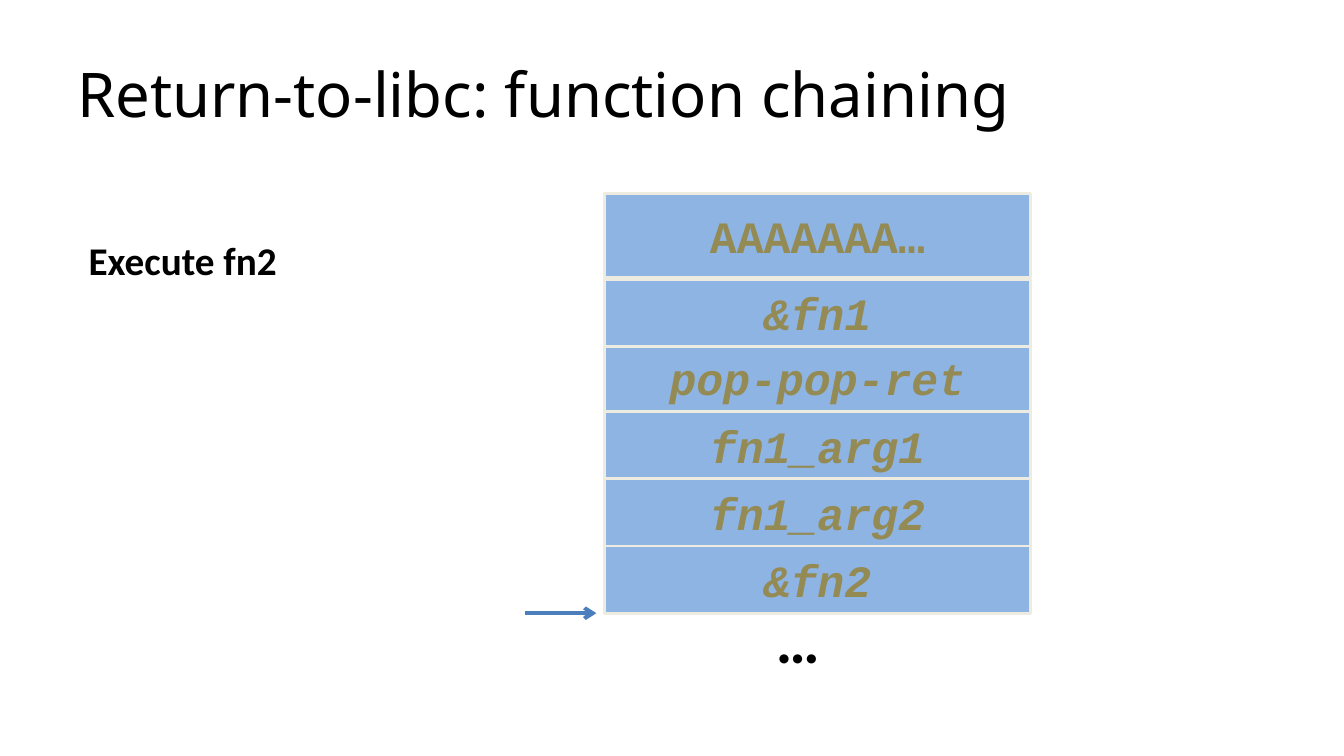
from dataclasses import dataclass

from lxml import etree
from pptx import Presentation
from pptx.dml.color import RGBColor
from pptx.enum.shapes import MSO_CONNECTOR as Connector, MSO_SHAPE as Shape
from pptx.enum.text import MSO_ANCHOR as Anchor, MSO_AUTO_SIZE as AutoSize, PP_ALIGN as Align
from pptx.oxml.ns import qn
from pptx.util import Pt

TITLE = "Return-to-libc: function chaining"
STEP = "Execute fn2"
MORE = "…"
STACK = [
    ("fn1_arg2", 342, 48, True),
    ("fn1_arg1", 294, 48, True),
    ("pop-pop-ret", 246, 48, True),
    ("&fn1", 199.4, 48, True),
    ("AAAAAAA…", 138, 60, False),
    ("&fn2", 390, 48, True),
]
STACK_LEFT, STACK_WIDTH = 432, 304
POINTER_START, POINTER_END = 375, 426


@dataclass(frozen=True)
class Theme:
    ink: str = "000000"
    cell: str = "8EB4E3"
    border: str = "EEECE1"
    code: str = "948A54"
    pointer: str = "4B7EBC"
    title_font: str = "Noto Sans"
    body_font: str = "Calibri"
    code_font: str = "Courier New"
    title_size: int = 44
    code_size: int = 32
    body_size: int = 28


THEME = Theme()


def rgb(value):
    return RGBColor.from_string(value)


def write(box, text, *, font, size, color=THEME.ink, bold=False, italic=False,
          align=Align.LEFT, anchor=Anchor.TOP, wrap=True, grow=False):
    frame = box.text_frame
    frame.word_wrap = wrap
    frame.vertical_anchor = anchor
    frame.auto_size = AutoSize.SHAPE_TO_FIT_TEXT if grow else AutoSize.NONE
    para = frame.paragraphs[0]
    para.alignment = align
    span = para.add_run()
    span.text = text
    span.font.name = font
    span.font.size = Pt(size)
    span.font.bold = bold
    span.font.italic = italic
    span.font.color.rgb = rgb(color)


def add_text(page, left, top, width, height, text, **style):
    box = page.shapes.add_textbox(Pt(left), Pt(top), Pt(width), Pt(height))
    write(box, text, **style)


def add_cell(page, text, top, height, italic):
    cell = page.shapes.add_shape(
        Shape.RECTANGLE, Pt(STACK_LEFT), Pt(top), Pt(STACK_WIDTH), Pt(height))
    cell.shadow.inherit = False
    cell.fill.solid()
    cell.fill.fore_color.rgb = rgb(THEME.cell)
    cell.line.color.rgb = rgb(THEME.border)
    cell.line.width = Pt(2)
    write(cell, text, font=THEME.code_font, size=THEME.code_size, color=THEME.code,
          bold=True, italic=italic, align=Align.CENTER, anchor=Anchor.MIDDLE)


def add_pointer(page, height):
    pointer = page.shapes.add_connector(
        Connector.STRAIGHT, Pt(POINTER_START), Pt(height), Pt(POINTER_END), Pt(height))
    pointer.line.color.rgb = rgb(THEME.pointer)
    pointer.line.width = Pt(2.75)
    etree.SubElement(pointer.line._get_or_add_ln(), qn("a:tailEnd"), type="arrow")
    etree.SubElement(pointer._element.spPr, qn("a:effectLst"))


def main():
    deck = Presentation()
    deck.slide_width, deck.slide_height = Pt(960), Pt(540)
    page = deck.slides.add_slide(deck.slide_layouts[6])

    add_text(page, 48, 21.6, 864, 90, TITLE, font=THEME.title_font,
             size=THEME.title_size, anchor=Anchor.MIDDLE)
    for text, top, height, italic in STACK:
        add_cell(page, text, top, height, italic)
    stack_bottom = max(top + height for _, top, height, _ in STACK)
    add_pointer(page, stack_bottom)
    add_text(page, 547.2, 426.2, 46, 60.5, MORE, font=THEME.body_font,
             size=THEME.title_size, bold=True, wrap=False, grow=True)
    add_text(page, 56.2, 165.6, 224, 41, STEP, font=THEME.body_font,
             size=THEME.body_size, bold=True, grow=True)

    deck.save("out.pptx")


if __name__ == "__main__":
    main()
